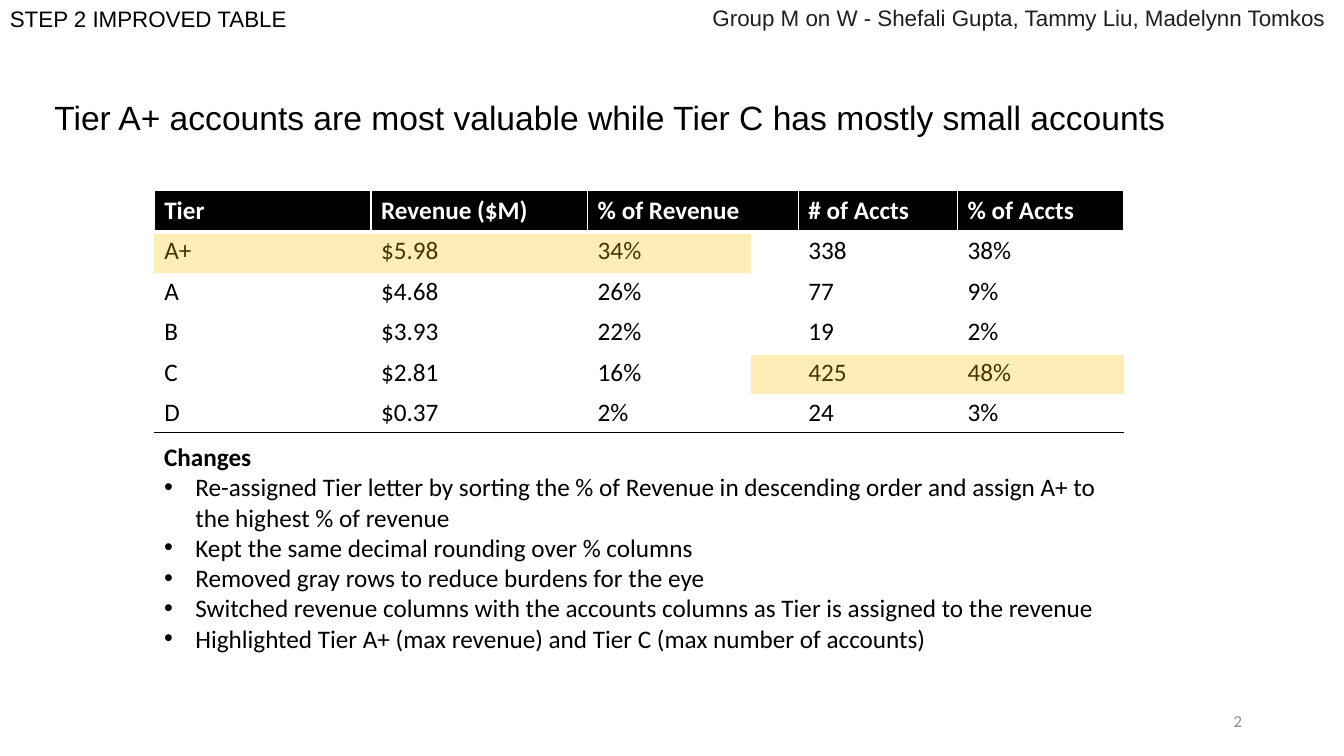
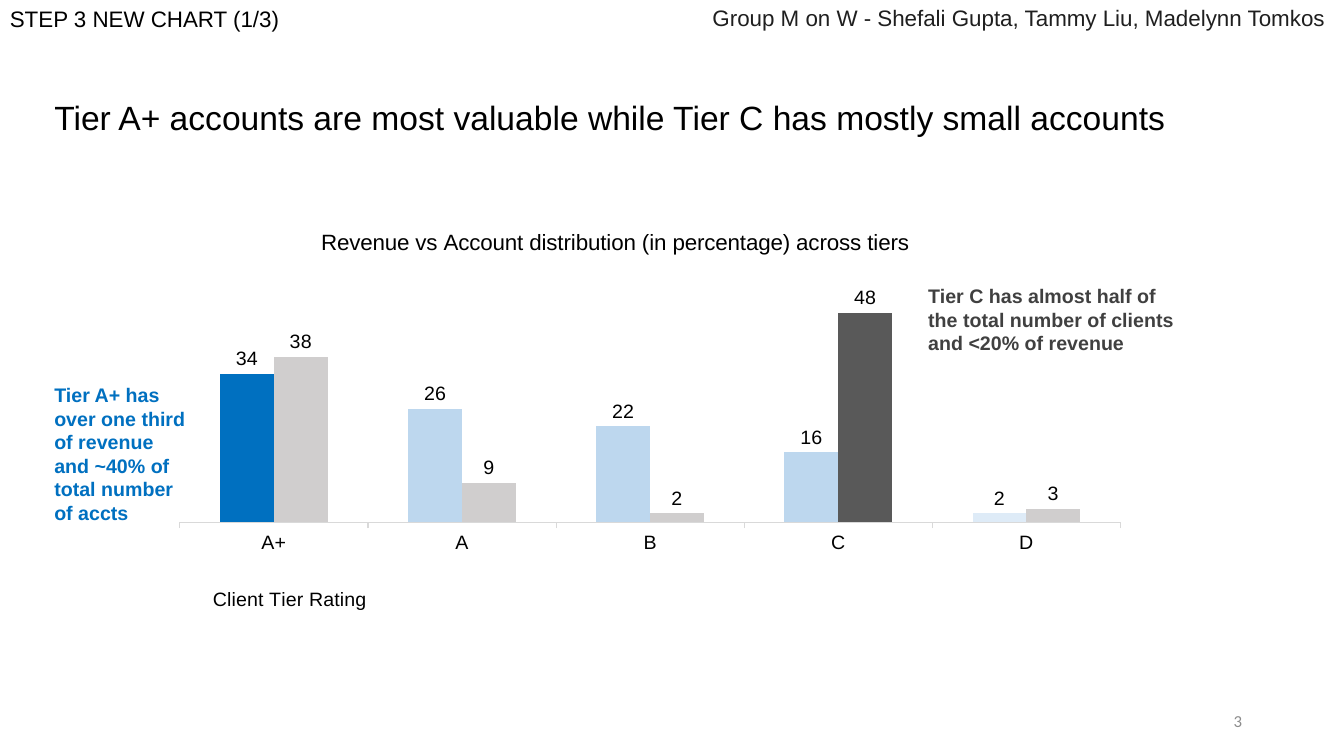
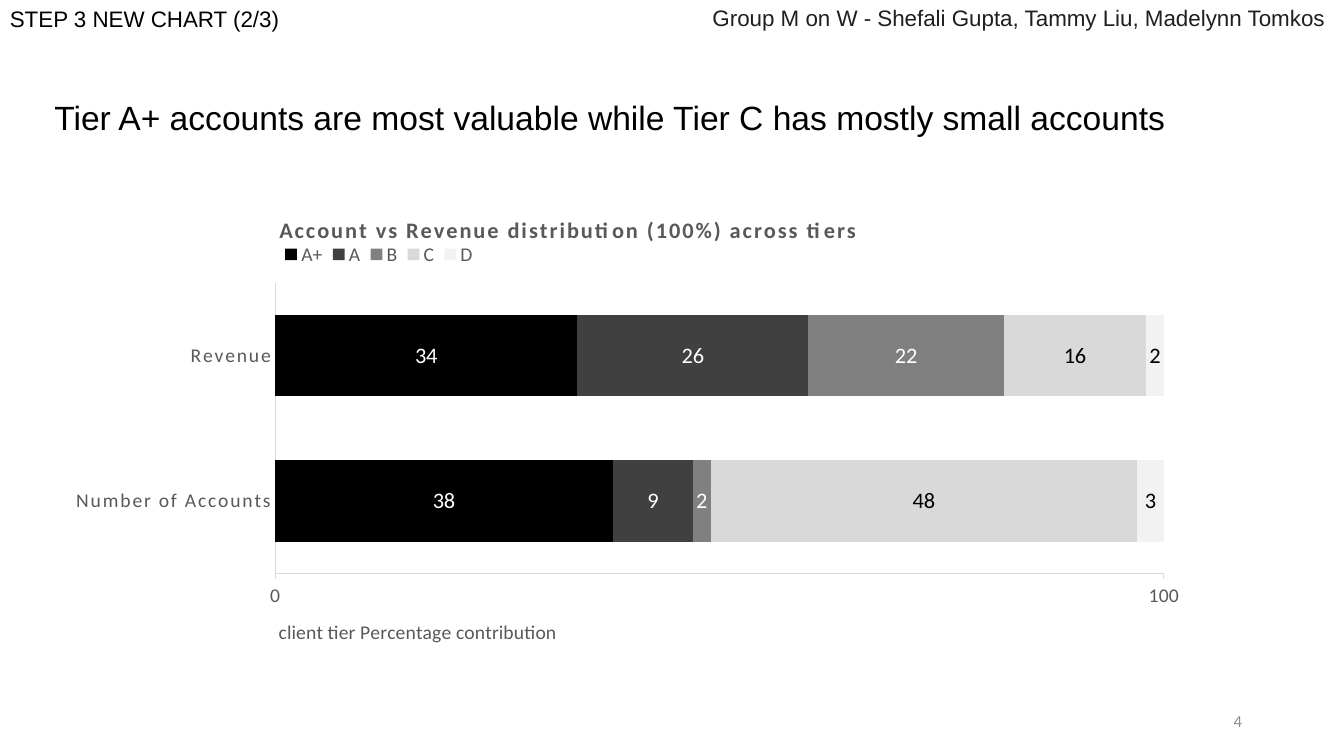
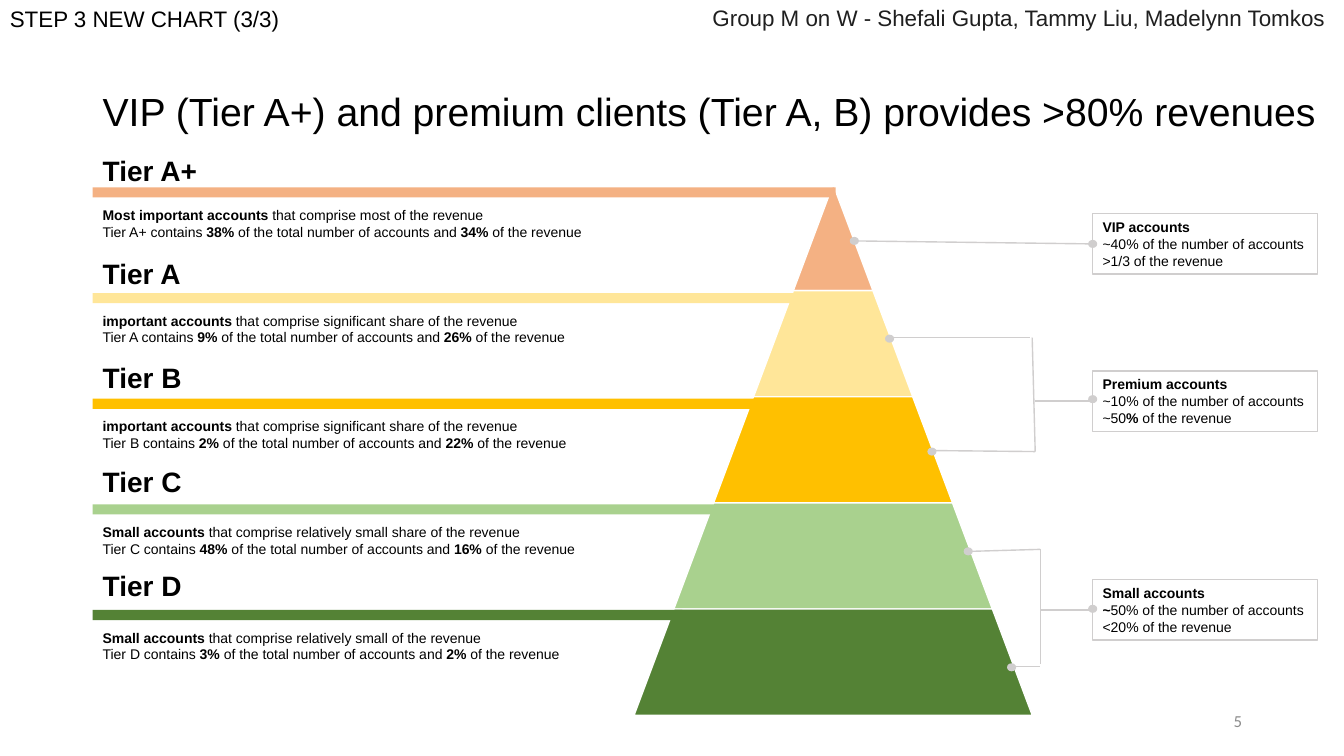
"""Build four slides comparing client tiers by revenue and number of accounts."""
from pptx import Presentation
from pptx.chart.data import CategoryChartData
from pptx.dml.color import RGBColor
from pptx.enum.chart import XL_CHART_TYPE, XL_LABEL_POSITION, XL_LEGEND_POSITION, XL_TICK_LABEL_POSITION, XL_TICK_MARK
from pptx.enum.shapes import MSO_CONNECTOR, MSO_SHAPE
from pptx.enum.text import MSO_ANCHOR, PP_ALIGN
from pptx.oxml import parse_xml
from pptx.oxml.ns import nsdecls, qn
from pptx.util import Inches, Pt

RECTANGLE, TRAPEZOID, OVAL = MSO_SHAPE.RECTANGLE, MSO_SHAPE.TRAPEZOID, MSO_SHAPE.OVAL
STRAIGHT = MSO_CONNECTOR.STRAIGHT
COLUMNS, STACKED_BARS = XL_CHART_TYPE.COLUMN_CLUSTERED, XL_CHART_TYPE.BAR_STACKED
LABEL_OUTSIDE, LABEL_CENTER = XL_LABEL_POSITION.OUTSIDE_END, XL_LABEL_POSITION.CENTER
LEGEND_BOTTOM = XL_LEGEND_POSITION.BOTTOM
TICK_OUTSIDE, TICK_NONE = XL_TICK_MARK.OUTSIDE, XL_TICK_MARK.NONE
LABELS_LOW = XL_TICK_LABEL_POSITION.LOW
MIDDLE, LEFT, RIGHT = MSO_ANCHOR.MIDDLE, PP_ALIGN.LEFT, PP_ALIGN.RIGHT

BLACK = RGBColor(0x00, 0x00, 0x00)
WHITE = RGBColor(0xFF, 0xFF, 0xFF)
INK = RGBColor(0x1F, 0x1F, 0x1F)
CHARCOAL = RGBColor(0x40, 0x40, 0x40)
DARK_GRAY = RGBColor(0x59, 0x59, 0x59)
MID_GRAY = RGBColor(0x80, 0x80, 0x80)
NUMBER_GRAY = RGBColor(0x8C, 0x8C, 0x8C)
SILVER = RGBColor(0xD0, 0xCE, 0xCE)
AXIS_GRAY = RGBColor(0xD9, 0xD9, 0xD9)
PALE_GRAY = RGBColor(0xF2, 0xF2, 0xF2)
BLUE = RGBColor(0x00, 0x70, 0xC0)
LIGHT_BLUE = RGBColor(0xBD, 0xD7, 0xEE)
PALE_BLUE = RGBColor(0xDE, 0xEB, 0xF7)
ORANGE = RGBColor(0xF4, 0xB1, 0x83)
YELLOW = RGBColor(0xFF, 0xE6, 0x99)
GOLD = RGBColor(0xFF, 0xC0, 0x00)
LIGHT_GREEN = RGBColor(0xA9, 0xD1, 0x8E)
GREEN = RGBColor(0x54, 0x82, 0x35)

HEADING_FONT, BODY_FONT = "Arial", "Calibri"
CELL = Inches(0.1)
SLIDE_COLUMNS, SLIDE_ROWS = 133.33, 75


def cells(*lengths):
    """Turn grid cells into slide lengths."""
    return [round(CELL * length) for length in lengths]


def write(frame, lines, size, color=BLACK, font=HEADING_FONT, align=LEFT):
    """Fill a text frame with lines, where asterisks enclose bold words."""
    frame.word_wrap = True
    for number, line in enumerate(lines):
        paragraph = frame.add_paragraph() if number else frame.paragraphs[0]
        paragraph.alignment = align
        for index, words in enumerate(line.split("*")):
            if words:
                run = paragraph.add_run()
                run.text = words
                run.font.bold = index % 2 == 1
                run.font.size, run.font.name = Pt(size), font
                run.font.color.rgb = color


presentation = Presentation()
presentation.slide_width, presentation.slide_height = cells(SLIDE_COLUMNS, SLIDE_ROWS)
blank_layout = presentation.slide_layouts[6]

TIER_TITLE = "Tier A+ accounts are most valuable while Tier C has mostly small accounts"
VIP_TITLE = "VIP (Tier A+) and premium clients (Tier A, B) provides >80% revenues"
TITLE_BOX, VIP_TITLE_BOX = (4.4, 4.6, 114.5, 14.5), (9.2, 4, 124.1, 14.5)
headings = [
    ("STEP 2 IMPROVED TABLE", TIER_TITLE, TITLE_BOX, 24),
    ("STEP 3 NEW CHART (1/3)", TIER_TITLE, TITLE_BOX, 24),
    ("STEP 3 NEW CHART (2/3)", TIER_TITLE, TITLE_BOX, 24),
    ("STEP 3 NEW CHART (3/3)", VIP_TITLE, VIP_TITLE_BOX, 28),
]
slides = []
for number, (step, title, title_box, title_size) in enumerate(headings, start=2):
    slide = presentation.slides.add_slide(blank_layout)
    slides.append(slide)
    title_frame = slide.shapes.add_textbox(*cells(*title_box)).text_frame
    title_frame.vertical_anchor = MIDDLE
    write(title_frame, [title], title_size)
    title_frame.paragraphs[0].line_spacing = 0.9
    write(slide.shapes.add_textbox(*cells(0, 0, 50, 3.7)).text_frame, [step], 16)
    write(slide.shapes.add_textbox(*cells(69.7, -0.1, 63.6, 3.7)).text_frame,
          ["Group M on W - Shefali Gupta, Tammy Liu, Madelynn Tomkos"], 16, INK)
    number_frame = slide.shapes.add_textbox(*cells(94.2, 69.5, 30, 4)).text_frame
    number_frame.vertical_anchor = MIDDLE
    write(number_frame, [str(number)], 12, NUMBER_GRAY, BODY_FONT, RIGHT)
table_slide, column_slide, bar_slide, pyramid_slide = slides

tier_rows = [
    ("Tier", "Revenue ($M)", "% of Revenue", "# of Accts", "% of Accts"),
    ("A+", "$5.98", "34%", "338", "38%"),
    ("A", "$4.68", "26%", "77", "9%"),
    ("B", "$3.93", "22%", "19", "2%"),
    ("C", "$2.81", "16%", "425", "48%"),
    ("D", "$0.37", "2%", "24", "3%"),
]
last_row = len(tier_rows) - 1
table = table_slide.shapes.add_table(len(tier_rows), 5, *cells(15.3, 18.9, 96.2, 24)).table
table.first_row = table.horz_banding = False
for column, width in zip(table.columns, cells(21.5, 21.5, 20.9, 15.8, 16.5)):
    column.width = width
for row_index, row in enumerate(tier_rows):
    for column_index, value in enumerate(row):
        cell = table.cell(row_index, column_index)
        if row_index == 0:
            cell.fill.solid()
            cell.fill.fore_color.rgb = BLACK
            write(cell.text_frame, [f"*{value}*"], 18, WHITE, BODY_FONT)
        else:
            cell.fill.background()
            write(cell.text_frame, [value], 18, BLACK, BODY_FONT)
        if row_index == last_row:
            cell._tc.get_or_add_tcPr().insert(0, parse_xml(
                f'<a:lnB {nsdecls("a")} w="{Pt(1)}"><a:solidFill>'
                f'<a:srgbClr val="{BLACK}"/></a:solidFill></a:lnB>'))

changes_frame = table_slide.shapes.add_textbox(*cells(15.3, 43.3, 96.2, 22.2)).text_frame
write(changes_frame, [
    "*Changes*",
    "Re-assigned Tier letter by sorting the % of Revenue in descending order "
    "and assign A+ to the highest % of revenue",
    "Kept the same decimal rounding over % columns",
    "Removed gray rows to reduce burdens for the eye",
    "Switched revenue columns with the accounts columns as Tier is assigned to the revenue",
    "Highlighted Tier A+ (max revenue) and Tier C (max number of accounts)",
], 18, BLACK, BODY_FONT)
bullet_indent = Inches(0.31)
for paragraph in changes_frame.paragraphs[1:]:
    properties = paragraph._p.get_or_add_pPr()
    properties.set("marL", str(bullet_indent))
    properties.set("indent", str(-bullet_indent))
    properties.append(parse_xml(f'<a:buFont {nsdecls("a")} typeface="Arial"/>'))
    properties.append(parse_xml(f'<a:buChar {nsdecls("a")} char="•"/>'))

for highlight_box in [(15.3, 23.2, 59.2, 3.9), (74.5, 35.2, 37, 3.9)]:
    highlight = table_slide.shapes.add_shape(RECTANGLE, *cells(*highlight_box))
    highlight.shadow.inherit = False
    highlight.fill.solid()
    highlight.fill.fore_color.rgb = GOLD
    highlight.line.fill.background()
    gold = next(highlight._element.spPr.iter(qn("a:srgbClr")))
    gold.append(parse_xml(f'<a:alpha {nsdecls("a")} val="28000"/>'))

column_data = CategoryChartData()
column_data.categories = ["A+", "A", "B", "C", "D"]
column_data.add_series("Series 1", [34, 26, 22, 16, 2])
column_data.add_series("Series 2", [38, 9, 2, 48, 3])
column_chart = column_slide.shapes.add_chart(
    COLUMNS, *cells(15.9, 20.2, 97.2, 41), column_data).chart
column_chart.has_legend = False
column_chart.value_axis.maximum_scale = 60
column_chart.value_axis.major_unit = 10
column_chart.value_axis.visible = False
column_chart.category_axis.major_tick_mark = TICK_OUTSIDE
column_chart.category_axis.tick_label_position = LABELS_LOW
column_plot = column_chart.plots[0]
column_plot.gap_width, column_plot.overlap = 150, 0
column_colors = [
    (BLUE, LIGHT_BLUE, LIGHT_BLUE, LIGHT_BLUE, PALE_BLUE),
    (SILVER, SILVER, SILVER, DARK_GRAY, SILVER),
]
for series, colors in zip(column_plot.series, column_colors):
    for index, color in enumerate(colors):
        point_fill = series.points[index].format.fill
        point_fill.solid()
        point_fill.fore_color.rgb = color

bar_data = CategoryChartData(number_format="0")
bar_data.categories = ["Number of Accounts", "Revenue"]
bar_series = [
    ("A+", (38, 34), BLACK, WHITE),
    ("A", (9, 26), CHARCOAL, WHITE),
    ("B", (2, 22), MID_GRAY, WHITE),
    ("C", (48, 16), AXIS_GRAY, BLACK),
    ("D", (3, 2), PALE_GRAY, BLACK),
]
for name, values, _, _ in bar_series:
    bar_data.add_series(name, values)
bar_chart = bar_slide.shapes.add_chart(
    STACKED_BARS, *cells(4.4, 19.1, 114.5, 45.4), bar_data).chart
bar_chart.has_legend = True
bar_chart.legend.position = LEGEND_BOTTOM
bar_chart.legend.include_in_layout = False
bar_chart.value_axis.maximum_scale = bar_chart.value_axis.major_unit = 100
bar_chart.value_axis.major_tick_mark = TICK_OUTSIDE
bar_chart.value_axis.format.line.color.rgb = AXIS_GRAY
bar_chart.value_axis.format.line.width = Pt(0.75)
bar_chart.category_axis.major_tick_mark = TICK_NONE
bar_plot = bar_chart.plots[0]
bar_plot.gap_width, bar_plot.overlap = 79, 100
for series, (_, _, color, label_color) in zip(bar_plot.series, bar_series):
    series.format.fill.solid()
    series.format.fill.fore_color.rgb = color
    series.data_labels.font.color.rgb = label_color

chart_styles = [
    (column_chart, column_chart.category_axis, HEADING_FONT, BLACK, 14, LABEL_OUTSIDE,
     "Revenue vs Account distribution (in percentage) across tiers", "Client Tier Rating"),
    (bar_chart, bar_chart.value_axis, BODY_FONT, DARK_GRAY, 16, LABEL_CENTER,
     "*Account vs Revenue distribution (100%) across tiers*", "client tier Percentage contribution"),
]
for chart, titled_axis, font, color, label_size, label_position, title, axis_title in chart_styles:
    chart.font.size, chart.font.name = Pt(14), font
    chart.font.color.rgb = color
    write(chart.chart_title.text_frame, [title], 16, color, font)
    write(titled_axis.axis_title.text_frame, [axis_title], 14, color, font)
    chart.value_axis.minimum_scale = 0
    chart.value_axis.has_major_gridlines = False
    chart.category_axis.format.line.color.rgb = AXIS_GRAY
    chart.category_axis.format.line.width = Pt(0.75)
    chart.plots[0].vary_by_categories = False
    for series in chart.plots[0].series:
        series.invert_if_negative = False
        labels = series.data_labels
        labels.show_value = True
        labels.position = label_position
        labels.font.size, labels.font.name = Pt(label_size), font
        if chart is column_chart:
            labels.font.color.rgb = color

bar_title_run = bar_chart.chart_title.text_frame.paragraphs[0].runs[0]
bar_title_run.font._rPr.set("spc", "150")
category_font = bar_chart.category_axis.tick_labels.font
category_font.size, category_font.name = Pt(14), BODY_FONT
category_font.color.rgb = DARK_GRAY
category_font._rPr.set("spc", "120")

chart_parts = [
    (column_chart.chart_title._element, 1, {"x": 0.16, "y": 0.05}),
    (column_chart.category_axis.axis_title._element, 1, {"x": 0.05, "y": 0.93}),
    (column_chart._chartSpace.chart.plotArea, 0, {"x": 0.02, "y": 0.14, "w": 0.96, "h": 0.64}),
    (bar_chart.chart_title._element, 1, {"x": 0.2, "y": 0.04}),
    (bar_chart.value_axis.axis_title._element, 1, {"x": 0.2, "y": 0.93}),
    (bar_chart.legend._element, 1, {"x": 0.2, "y": 0.11, "w": 0.18, "h": 0.05}),
    (bar_chart._chartSpace.chart.plotArea, 0, {"x": 0.2, "y": 0.2, "w": 0.77, "h": 0.64}),
]
for element, position, shares in chart_parts:
    for automatic_layout in element.findall(qn("c:layout")):
        element.remove(automatic_layout)
    target = "" if position else '<c:layoutTarget val="inner"/>'
    lengths = "".join(f'<c:{name} val="{share}"/>' for name, share in shares.items())
    element.insert(position, parse_xml(
        f'<c:layout {nsdecls("c")}><c:manualLayout>{target}<c:xMode val="edge"/>'
        f'<c:yMode val="edge"/>{lengths}</c:manualLayout></c:layout>'))

write(column_slide.shapes.add_textbox(*cells(4.4, 37.5, 15.8, 15.1)).text_frame,
      ["*Tier A+ has over one third of revenue and ~40% of total number of accts*"], 14, BLUE)
write(column_slide.shapes.add_textbox(*cells(91.1, 27.7, 27.8, 8.1)).text_frame,
      ["*Tier C has almost half of the total number of clients and <20% of revenue*"], 14, CHARCOAL)

tiers = [
    ("A+", ORANGE, "Most important", "most of the revenue", 38, 34),
    ("A", YELLOW, "important", "significant share of the revenue", 9, 26),
    ("B", GOLD, "important", "significant share of the revenue", 2, 22),
    ("C", LIGHT_GREEN, "Small", "relatively small share of the revenue", 48, 16),
    ("D", GREEN, "Small", "relatively small of the revenue", 3, 2),
]
APEX_LEFT, APEX_TOP = 82.65, 18.3
LEVEL_HEIGHT, LEVEL_INSET = 10.53, 3.95
TEXT_LEFT, TEXT_WIDTH, TEXT_HEIGHT = 9.2, 58.6, 4.4
shapes = pyramid_slide.shapes
for index, (tier, color, *_) in enumerate(tiers):
    half_width = LEVEL_INSET * (index + 1)
    level = shapes.add_shape(TRAPEZOID, *cells(
        APEX_LEFT - half_width, APEX_TOP + LEVEL_HEIGHT * index, 2 * half_width, LEVEL_HEIGHT))
    level.adjustments[0] = LEVEL_INSET / min(2 * half_width, LEVEL_HEIGHT)
    level.shadow.inherit = False
    level.fill.solid()
    level.fill.fore_color.rgb = color
    level.line.color.rgb = WHITE
    level.line.width = Pt(1)
for index, (tier, color, importance, share, accounts, revenue) in enumerate(tiers):
    band = shapes.add_shape(RECTANGLE, *cells(
        TEXT_LEFT, 18.6 + 10.48 * index, 73.7 - 3.8 * index, 1))
    band.shadow.inherit = False
    band.fill.solid()
    band.fill.fore_color.rgb = color
    band.line.fill.background()
    tier_heading = shapes.add_textbox(*cells(
        TEXT_LEFT, 14.7 + 10.3 * index, TEXT_WIDTH, TEXT_HEIGHT))
    write(tier_heading.text_frame, [f"*Tier {tier}*"], 20)
    tier_note = shapes.add_textbox(*cells(
        TEXT_LEFT, 20 + 10.48 * index, TEXT_WIDTH, TEXT_HEIGHT))
    write(tier_note.text_frame, [
        f"*{importance} accounts* that comprise {share}",
        f"Tier {tier} contains *{accounts}%* of the total number of accounts "
        f"and *{revenue}%* of the revenue",
    ], 10)

CALLOUT_LEFT = 108.4
callouts = [
    (21.2, ["*VIP accounts*", "~40% of the number of accounts", ">1/3 of the revenue"]),
    (36.8, ["*Premium accounts*", "~10% of the number of accounts", "~50*%* of the revenue"]),
    (57.5, ["*Small accounts*", "*~*50% of the number of accounts", "<20% of the revenue"]),
]
for top, lines in callouts:
    callout = shapes.add_shape(RECTANGLE, *cells(CALLOUT_LEFT, top, 22.3, 6))
    callout.shadow.inherit = False
    callout.fill.solid()
    callout.fill.fore_color.rgb = WHITE
    callout.line.color.rgb = SILVER
    callout.line.width = Pt(1)
    callout.text_frame.vertical_anchor = MIDDLE
    write(callout.text_frame, lines, 10)

bracket_lines = [
    (84.6, 23.9, CALLOUT_LEFT, 24.2),
    (88, 33.5, 102.2, 33.5),
    (92.5, 44.7, 102.7, 44.8),
    (102.4, 33.5, 102.7, 44.8),
    (102.7, 39.8, CALLOUT_LEFT, 39.8),
    (96.3, 54.7, 103.2, 54.5),
    (100.5, 66.1, 103.2, 66.1),
    (103.2, 54.5, 103.2, 65.9),
    (103.2, 60.5, CALLOUT_LEFT, 60.5),
]
for ends in bracket_lines:
    connector = shapes.add_connector(STRAIGHT, *cells(*ends))
    connector.line.color.rgb = SILVER
    connector.line.width = Pt(1)
    connector._element.spPr.append(parse_xml(f'<a:effectLst {nsdecls("a")}/>'))

DOT_WIDTH, DOT_HEIGHT = 0.9, 0.8
dot_centers = [
    (CALLOUT_LEFT, 24.2), (CALLOUT_LEFT, 39.6), (CALLOUT_LEFT, 60.4), (84.75, 23.9),
    (88.25, 33.6), (92.45, 44.8), (96.05, 54.7), (100.35, 66.2),
]
for center, middle in dot_centers:
    dot = shapes.add_shape(OVAL, *cells(
        center - DOT_WIDTH / 2, middle - DOT_HEIGHT / 2, DOT_WIDTH, DOT_HEIGHT))
    dot.shadow.inherit = False
    dot.fill.solid()
    dot.fill.fore_color.rgb = SILVER
    dot.line.fill.background()

presentation.save("out.pptx")
